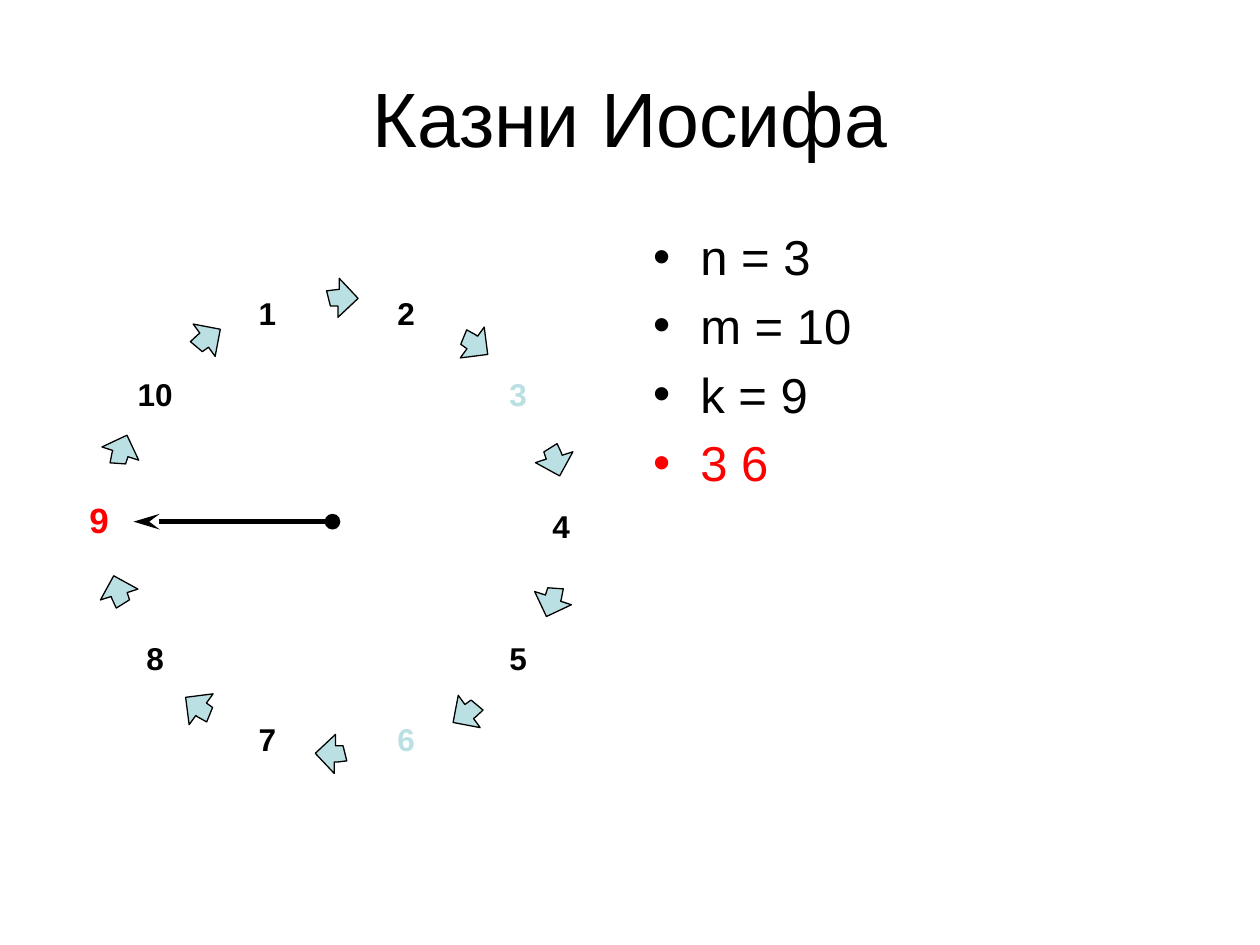
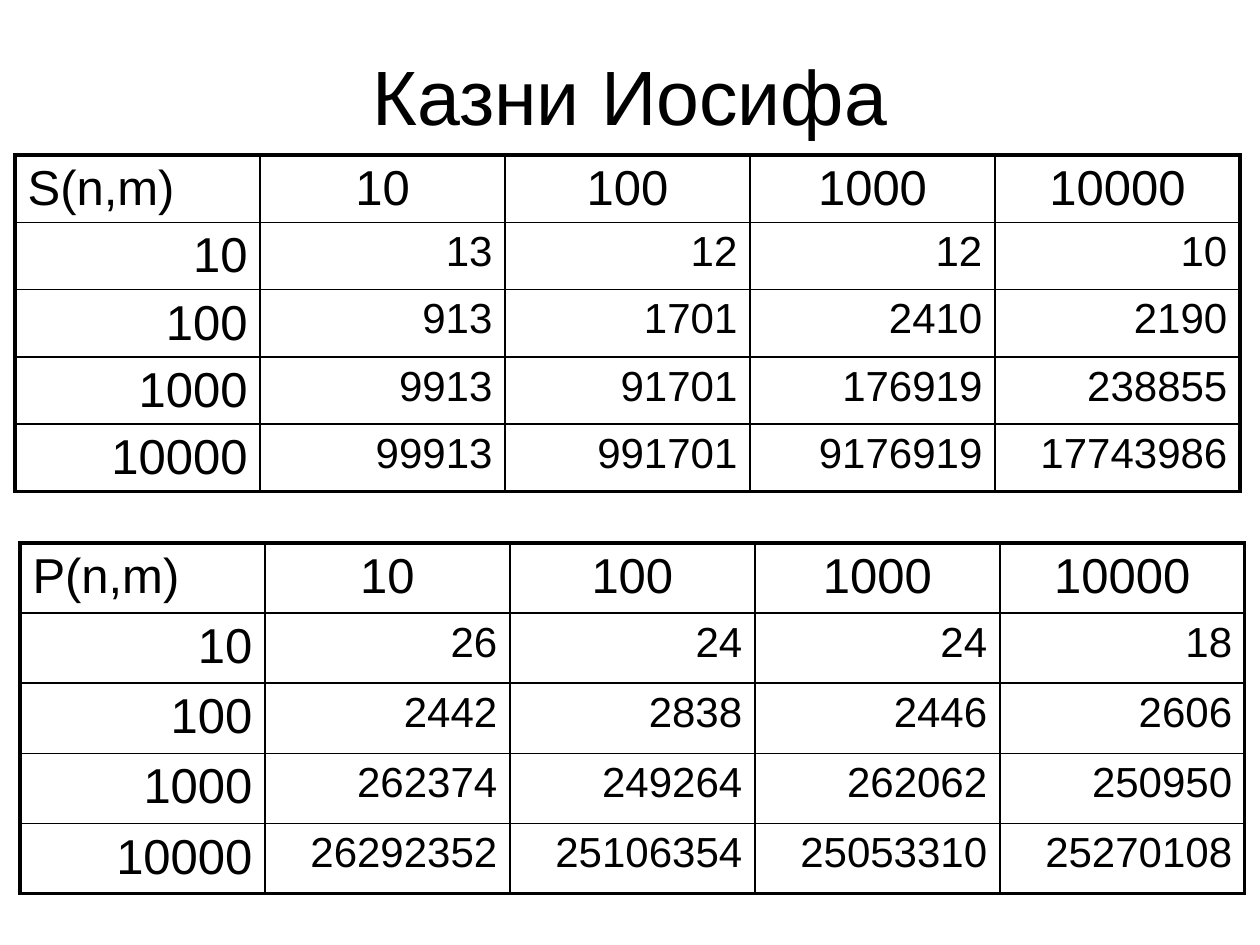
"""Builds two slides on the Josephus problem: the counting circle and the cost tables."""
from dataclasses import dataclass
from math import cos, radians, sin

from lxml.etree import SubElement
from pptx import Presentation
from pptx.dml.color import RGBColor
from pptx.enum.shapes import MSO_CONNECTOR
from pptx.enum.text import MSO_ANCHOR, PP_ALIGN
from pptx.oxml.ns import qn
from pptx.presentation import Presentation as Deck
from pptx.shapes.base import BaseShape
from pptx.slide import Slide
from pptx.table import _Cell
from pptx.text.text import _Paragraph
from pptx.util import Pt

COLORS = {"ink": "000000", "pale": "BBE0E3", "accent": "FF0000"}
FONT = "Arial"
TITLE = "Казни Иосифа"

RING_X, RING_Y = 192.4, 300.5
PERSONS = 10
STEP = 360 / PERSONS
NUMBER_RADIUS = 128.2
NUMBER_SIZE = 35.28
ARROW_RADIUS = 108
ARROW_FRAME = 54
ARROW_LEAD = 0.2
ARROW_OUTLINE = [
    (27.36, 9.36), (23.04, 9.36), (20.88, 0.72), (26.64, 0),
    (28.08, 0), (28.08, -6.48), (38.88, 5.04), (27.36, 15.84),
]
EXECUTED = (3, 6)
CURRENT = 9

SIZES = ["10", "100", "1000", "10000"]
COLUMN_WIDTH = 140
THIN, THICK = 1, 2.25


@dataclass(frozen=True)
class Box:
    left: float
    top: float
    width: float
    height: float


@dataclass(frozen=True)
class CostTable:
    label: str
    left: float
    top: float
    row_height: float
    costs: list[list[int]]


COST_TABLES = [
    CostTable("P(n,m)", 11.4, 310.2, 40.1, [
        [26, 24, 24, 18],
        [2442, 2838, 2446, 2606],
        [262374, 249264, 262062, 250950],
        [26292352, 25106354, 25053310, 25270108],
    ]),
    CostTable("S(n,m)", 8.64, 88.6, 38.4, [
        [13, 12, 12, 10],
        [913, 1701, 2410, 2190],
        [9913, 91701, 176919, 238855],
        [99913, 991701, 9176919, 17743986],
    ]),
]


def color(key: str) -> RGBColor:
    return RGBColor.from_string(COLORS[key])


def format_text(paragraph: _Paragraph, size: float, key: str = "ink",
                align: PP_ALIGN | None = None, bold: bool = False) -> None:
    paragraph.alignment = align
    for run in paragraph.runs:
        run.font.name = FONT
        run.font.size = Pt(size)
        run.font.bold = bold
        run.font.color.rgb = color(key)


def place(shape: BaseShape, box: Box) -> None:
    shape.left, shape.top = Pt(box.left), Pt(box.top)
    shape.width, shape.height = Pt(box.width), Pt(box.height)


def add_titled_slide(deck: Deck, layout: int, title_top: float) -> Slide:
    slide = deck.slides.add_slide(deck.slide_layouts[layout])
    title = slide.shapes.title
    place(title, Box(36, title_top, 648, 90))
    title.text_frame.text = TITLE
    format_text(title.text_frame.paragraphs[0], 44, align=PP_ALIGN.CENTER)
    return slide


def ring_box(radius: float, degrees: float, side: float) -> Box:
    turn = radians(degrees)
    return Box(RING_X + radius * sin(turn) - side / 2,
               RING_Y - radius * cos(turn) - side / 2, side, side)


def add_ring_arrow(slide: Slide, degrees: float) -> None:
    start, *others = [(Pt(x), Pt(y)) for x, y in ARROW_OUTLINE]
    outline = slide.shapes.build_freeform(*start)
    outline.add_line_segments(others, close=True)
    arrow = outline.convert_to_shape()

    contour = next(arrow._element.iter(qn("a:path")))
    for point in contour.iter(qn("a:pt")):
        point.set("x", str(int(point.get("x")) + arrow.left))
        point.set("y", str(int(point.get("y")) + arrow.top))
    contour.set("w", str(Pt(ARROW_FRAME)))
    contour.set("h", str(Pt(ARROW_FRAME)))
    place(arrow, ring_box(ARROW_RADIUS, degrees + ARROW_LEAD, ARROW_FRAME))
    arrow.rotation = degrees

    arrow.shadow.inherit = False
    arrow.fill.solid()
    arrow.fill.fore_color.rgb = color("pale")
    arrow.line.color.rgb = color("ink")
    arrow.line.width = Pt(0.75)


def add_number(slide: Slide, number: int) -> None:
    label = slide.shapes.add_textbox(0, 0, 0, 0)
    place(label, ring_box(NUMBER_RADIUS, (number - 1.5) * STEP, NUMBER_SIZE))
    frame = label.text_frame
    frame.margin_left = frame.margin_right = 0
    frame.margin_top = frame.margin_bottom = 0
    frame.word_wrap = False
    frame.vertical_anchor = MSO_ANCHOR.MIDDLE
    frame.text = str(number)
    format_text(frame.paragraphs[0], 18, "pale" if number in EXECUTED else "ink",
                PP_ALIGN.CENTER, bold=True)


def add_current_pointer(slide: Slide) -> None:
    current = slide.shapes.add_textbox(Pt(37), Pt(281.5), Pt(39.3), Pt(33.2))
    frame = current.text_frame
    frame.word_wrap = True
    frame.text = str(CURRENT)
    format_text(frame.paragraphs[0], 20, "accent", PP_ALIGN.CENTER, bold=True)

    pointer = slide.shapes.add_connector(
        MSO_CONNECTOR.STRAIGHT, Pt(190), Pt(298.1), Pt(76.3), Pt(298.1))
    pointer.end_connect(current, 3)
    pointer.line.color.rgb = color("ink")
    pointer.line.width = Pt(3)
    properties = pointer._element.spPr
    line = properties.find(qn("a:ln"))
    SubElement(line, qn("a:headEnd"), type="oval")
    SubElement(line, qn("a:tailEnd"), type="stealth", len="lg")
    SubElement(properties, qn("a:effectLst"))


def add_parameters(slide: Slide) -> None:
    parameters = slide.placeholders[1]
    place(parameters, Box(366, 126, 318, 356))
    frame = parameters.text_frame
    frame.text = "n = 3\nm = 10\nk = 9\n3 6"
    for paragraph in frame.paragraphs:
        format_text(paragraph, 28)
    format_text(frame.paragraphs[-1], 28, "accent")


def set_borders(cell: _Cell, row: int, column: int, last: int) -> None:
    outer = {"lnL": column == 0, "lnR": column == last,
             "lnT": row == 0, "lnB": row == last}
    properties = cell._tc.get_or_add_tcPr()
    for tag, is_outer in outer.items():
        width = Pt(THICK if is_outer else THIN)
        border = SubElement(properties, qn(f"a:{tag}"), w=str(width))
        fill = SubElement(border, qn("a:solidFill"))
        SubElement(fill, qn("a:srgbClr"), val=COLORS["ink"])


def add_cost_table(slide: Slide, content: CostTable) -> None:
    rows = [[content.label, *SIZES]]
    rows += [[size, *map(str, costs)] for size, costs in zip(SIZES, content.costs)]
    count = len(rows)
    table = slide.shapes.add_table(
        count, count, Pt(content.left), Pt(content.top),
        Pt(COLUMN_WIDTH * count), Pt(content.row_height * count)).table
    for column in table.columns:
        column.width = Pt(COLUMN_WIDTH)
    for r, values in enumerate(rows):
        table.rows[r].height = Pt(content.row_height)
        for c, value in enumerate(values):
            cell = table.cell(r, c)
            set_borders(cell, r, c, count - 1)
            cell.fill.background()
            cell.text_frame.text = value
            if r:
                align = PP_ALIGN.RIGHT
            else:
                align = PP_ALIGN.CENTER if c else PP_ALIGN.LEFT
            format_text(cell.text_frame.paragraphs[0], 24 if r and c else 28, align=align)


def build_circle_slide(deck: Deck) -> None:
    slide = add_titled_slide(deck, 1, 21.6)
    add_parameters(slide)
    for index in range(PERSONS):
        add_ring_arrow(slide, index * STEP)
    for number in range(1, PERSONS + 1):
        if number != CURRENT:
            add_number(slide, number)
    add_current_pointer(slide)


def build_cost_slide(deck: Deck) -> None:
    slide = add_titled_slide(deck, 5, 9)
    for cost_table in COST_TABLES:
        add_cost_table(slide, cost_table)


def main() -> None:
    deck = Presentation()
    deck.slide_width, deck.slide_height = Pt(720), Pt(540)
    build_circle_slide(deck)
    build_cost_slide(deck)
    deck.save("out.pptx")


if __name__ == "__main__":
    main()
